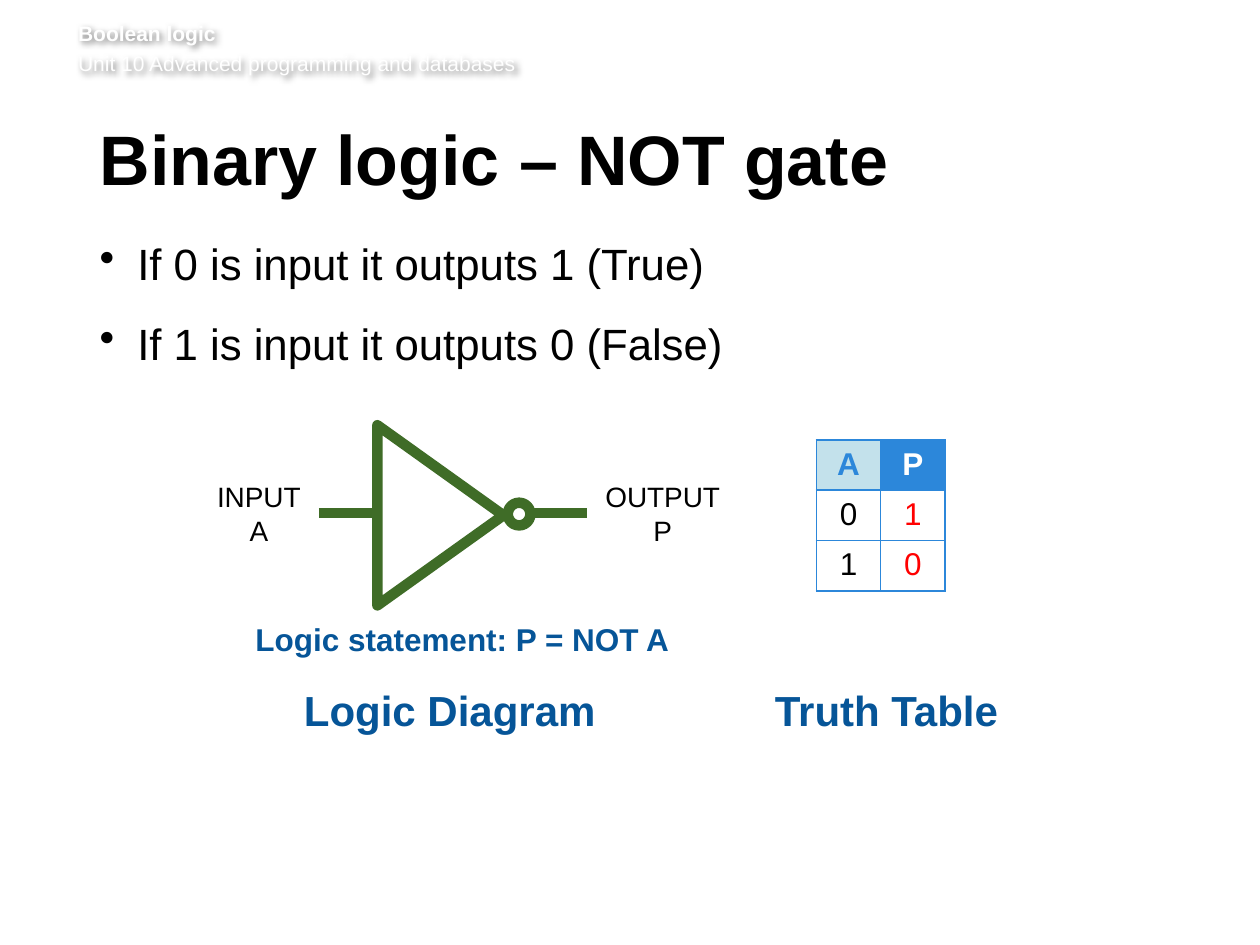
from dataclasses import dataclass

from lxml import etree
from pptx import Presentation
from pptx.dml.color import RGBColor
from pptx.enum.shapes import MSO_CONNECTOR, MSO_SHAPE
from pptx.enum.text import MSO_ANCHOR, MSO_AUTO_SIZE, PP_ALIGN
from pptx.oxml import parse_xml
from pptx.oxml.ns import nsdecls, qn
from pptx.util import Inches, Pt


@dataclass(frozen=True)
class Theme:
    font: str = "Arial"
    black: str = "000000"
    white: str = "FFFFFF"
    caption: str = "065598"
    gate: str = "3F6C27"
    table: str = "2C87DA"
    table_light: str = "C3E1EB"
    result: str = "FF0000"
    header_size: int = 12
    title_size: int = 40
    bullet_size: int = 25
    caption_size: int = 24
    body_size: int = 18
    label_size: int = 16
    gate_line: int = 6


THEME = Theme()


def format_runs(paragraph, size, color, bold=False):
    for run in paragraph.runs:
        run.font.name = THEME.font
        run.font.size = Pt(size)
        run.font.bold = bold
        run.font.color.rgb = RGBColor.from_string(color)


def add_text(shapes, box, text, size, color, bold=False, insets=(0, 0.05, 0.1, 0.05)):
    """Add a wrapping text box; box and insets are in inches."""
    shape = shapes.add_textbox(*map(Inches, box))
    frame = shape.text_frame
    frame.word_wrap = True
    frame.margin_left, frame.margin_top, frame.margin_right, frame.margin_bottom = map(Inches, insets)
    frame.text = text
    for paragraph in frame.paragraphs:
        format_runs(paragraph, size, color, bold)
    return shape


def add_label(shapes, box, text, size, color, bold=False):
    """Add a centred label that grows with its text."""
    shape = add_text(shapes, box, text, size, color, bold, (0.1, 0.05, 0.1, 0.05))
    shape.text_frame.word_wrap = False
    shape.text_frame.auto_size = MSO_AUTO_SIZE.SHAPE_TO_FIT_TEXT
    for paragraph in shape.text_frame.paragraphs:
        paragraph.alignment = PP_ALIGN.CENTER


def add_header(slide, box):
    shape = add_text(slide.shapes, box,
                     "Boolean logic\nUnit 10 Advanced programming and databases",
                     THEME.header_size, THEME.white, insets=(0, 0, 0, 0.05))
    course, unit = shape.text_frame.paragraphs
    course.runs[0].font.bold = True
    unit.space_before = Pt(2.9)
    shape._element.spPr.append(parse_xml(
        f'<a:effectLst {nsdecls("a")}><a:outerShdw blurRad="50800" dist="25400" dir="2700000">'
        '<a:srgbClr val="000000"><a:alpha val="50000"/></a:srgbClr>'
        '</a:outerShdw></a:effectLst>'))


def add_title(slide, box):
    shape = add_text(slide.shapes, box, "Binary logic – NOT gate",
                     THEME.title_size, THEME.black, bold=True)
    paragraph = shape.text_frame.paragraphs[0]
    paragraph.line_spacing = Pt(39)
    paragraph.space_after = Pt(15)


def add_bullets(slide, box, lines):
    shape = add_text(slide.shapes, box, "\n".join(lines),
                     THEME.bullet_size, THEME.black, insets=(0, 0, 0.1, 0.05))
    for paragraph in shape.text_frame.paragraphs:
        paragraph.line_spacing = 1.05
        paragraph.space_after = Pt(14)
        properties = paragraph._p.get_or_add_pPr()
        properties.set("marL", str(Inches(0.3)))
        properties.set("indent", str(-Inches(0.3)))
        etree.SubElement(properties, qn("a:buChar")).set("char", "•")


def style_gate_line(line):
    line.color.rgb = RGBColor.from_string(THEME.gate)
    line.width = Pt(THEME.gate_line)


def add_gate_shape(shapes, kind, box):
    shape = shapes.add_shape(kind, *map(Inches, box))
    shape.shadow.inherit = False
    shape.fill.background()
    style_gate_line(shape.line)
    etree.SubElement(shape.line._get_or_add_ln(), qn("a:round"))
    return shape


def add_wire(shapes, left, top, length):
    wire = shapes.add_connector(MSO_CONNECTOR.STRAIGHT, Inches(left), Inches(top),
                                Inches(left + length), Inches(top))
    style_gate_line(wire.line)
    etree.SubElement(wire._element.spPr, qn("a:effectLst"))


def add_logic_diagram(slide, box):
    left, top, width, height = box
    shapes = slide.shapes.add_group_shape().shapes
    for wire_left in (0.91, 2.61):
        add_wire(shapes, left + wire_left, top + 0.69, 0.43)
    add_label(shapes, (left, top + 0.38, 0.87, 0.64), "INPUT\nA",
              THEME.label_size, THEME.black)
    add_label(shapes, (left + width - 1.12, top + 0.38, 1.12, 0.64), "OUTPUT\nP",
              THEME.label_size, THEME.black)
    add_label(shapes, (left + 0.29, top + height - 0.4, 3.52, 0.4),
              "Logic statement: P = NOT A", THEME.body_size, THEME.caption, bold=True)
    triangle = add_gate_shape(shapes, MSO_SHAPE.ISOSCELES_TRIANGLE,
                              (left + 1.16, top + 0.21, 1.43, 1))
    triangle.rotation = 90
    add_gate_shape(shapes, MSO_SHAPE.OVAL, (left + 2.41, top + 0.61, 0.18, 0.18))


def add_cell_borders(cell):
    properties = cell._tc.get_or_add_tcPr()
    for position, side in enumerate(("lnL", "lnR", "lnT", "lnB")):
        properties.insert(position, parse_xml(
            f'<a:{side} {nsdecls("a")} w="{Pt(1)}"><a:solidFill>'
            f'<a:srgbClr val="{THEME.table}"/></a:solidFill></a:{side}>'))


def add_truth_table(slide, box, rows):
    table = slide.shapes.add_table(len(rows), len(rows[0]), *map(Inches, box)).table
    header_colors = (THEME.table, THEME.white)
    header_fills = (THEME.table_light, THEME.table)
    value_colors = (THEME.black, THEME.result)
    for row_index, row in enumerate(rows):
        is_header = row_index == 0
        colors = header_colors if is_header else value_colors
        for column_index, text in enumerate(row):
            cell = table.cell(row_index, column_index)
            cell.text = text
            paragraph = cell.text_frame.paragraphs[0]
            paragraph.alignment = PP_ALIGN.CENTER
            format_runs(paragraph, THEME.body_size, colors[column_index], is_header)
            if is_header:
                cell.vertical_anchor = MSO_ANCHOR.MIDDLE
                cell.fill.solid()
                cell.fill.fore_color.rgb = RGBColor.from_string(header_fills[column_index])
            else:
                cell.fill.background()
            add_cell_borders(cell)


def main():
    presentation = Presentation()
    presentation.slide_width = Inches(10)
    presentation.slide_height = Inches(7.5)
    slide = presentation.slides.add_slide(presentation.slide_layouts[6])

    add_header(slide, (0.62, 0.16, 8.82, 0.49))
    add_title(slide, (0.79, 0.99, 8.55, 0.73))
    add_bullets(slide, (0.79, 1.86, 8.53, 3.78),
                ("If 0 is input it outputs 1 (True)", "If 1 is input it outputs 0 (False)"))
    for text, left, width in (("Logic Diagram", 2.3, 2.54), ("Truth Table", 6.04, 1.99)):
        add_label(slide.shapes, (left, 5.38, width, 0.5), text,
                  THEME.caption_size, THEME.caption, bold=True)
    add_truth_table(slide, (6.48, 3.49, 1.02, 1.2), (("A", "P"), ("0", "1"), ("1", "0")))
    add_logic_diagram(slide, (1.62, 3.38, 4.2, 1.89))
    presentation.save("out.pptx")


if __name__ == "__main__":
    main()
